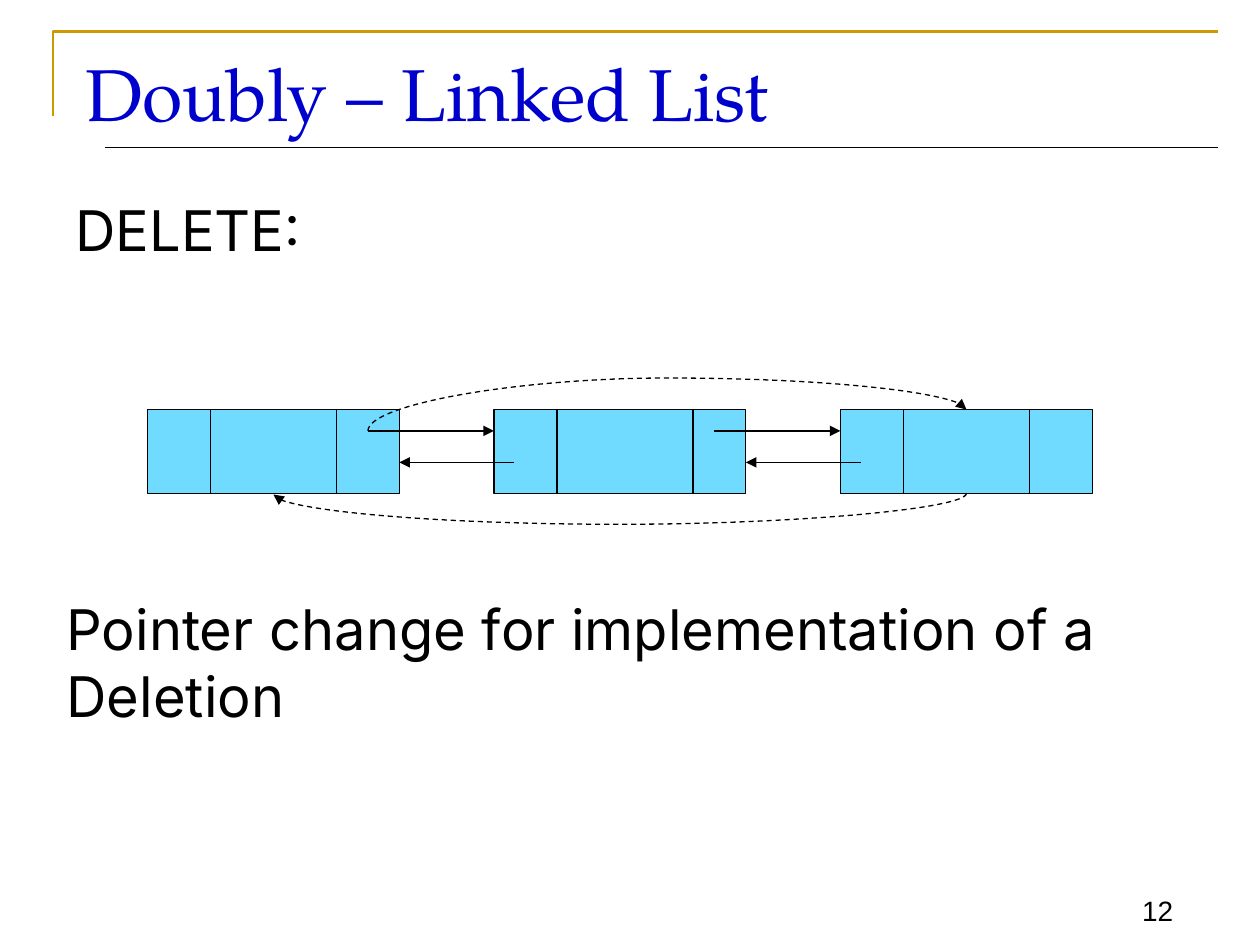
"""Build a slide showing pointer changes when deleting from a doubly linked list."""
from dataclasses import dataclass

import pptx
import pptx.dml.color
import pptx.enum.dml
import pptx.enum.shapes
import pptx.enum.text
import pptx.oxml
import pptx.oxml.ns
import pptx.util

Inches = pptx.util.Inches
Pt = pptx.util.Pt
CONNECTOR = pptx.enum.shapes.MSO_CONNECTOR
ALIGN = pptx.enum.text.PP_ALIGN
ANCHOR = pptx.enum.text.MSO_ANCHOR
Point = tuple[float, float]


@dataclass(frozen=True)
class Theme:
    ink: str = "000000"
    title: str = "0000CC"
    frame: str = "CC9900"
    node: str = "71DAFF"
    title_font: str = "TeX Gyre Pagella"
    body_font: str = "Inter"
    number_font: str = "Arial"
    title_size: int = 42
    body_size: int = 32
    number_size: int = 16
    thin: float = 0.75
    thick: float = 1.5


@dataclass(frozen=True)
class Node:
    left: float
    dividers: Point


@dataclass(frozen=True)
class Link:
    start: Point
    end: Point


@dataclass(frozen=True)
class Bypass:
    start: Point
    end: Point
    reach: float
    rotation: int


THEME = Theme()
NODE_TOP, NODE_WIDTH, NODE_HEIGHT = 3.25, 2, 0.67
NODE_BOTTOM = NODE_TOP + NODE_HEIGHT
NEXT_Y, PREV_Y = 3.42, 3.67
NODES = [Node(1.17, (0.5, 1.5)), Node(3.92, (0.5, 1.58)), Node(6.67, (0.5, 1.5))]
LINKS = [
    Link((2.92, NEXT_Y), (3.92, NEXT_Y)),
    Link((5.67, NEXT_Y), (6.67, NEXT_Y)),
    Link((6.83, PREV_Y), (5.92, PREV_Y)),
    Link((4.08, PREV_Y), (3.17, PREV_Y)),
]
BYPASSES = [
    Bypass((2.92, NEXT_Y), (7.67, NODE_TOP), 0.42, 270),
    Bypass((7.67, NODE_BOTTOM), (2.17, NODE_BOTTOM), 0.25, 90),
]


def rgb(value: str):
    """Return a colour from its hex code."""
    return pptx.dml.color.RGBColor.from_string(value)


def add_xml(parent, tag: str, **attrs: str):
    """Append a drawing element with the given attributes."""
    child = pptx.oxml.parse_xml(f"<a:{tag} {pptx.oxml.ns.nsdecls('a')}/>")
    for name, value in attrs.items():
        child.set(name, value)
    parent.append(child)
    return child


def add_text(s, text: str, box: tuple, *, font: str, size: float,
             color: str = THEME.ink, align=ALIGN.LEFT, anchor=ANCHOR.TOP) -> None:
    """Add a wrapped text box with one formatted run."""
    tf = s.shapes.add_textbox(*map(Inches, box)).text_frame
    tf.word_wrap = True
    tf.vertical_anchor = anchor
    p = tf.paragraphs[0]
    p.alignment = align
    r = p.add_run()
    r.text = text
    r.font.name = font
    r.font.size = Pt(size)
    r.font.color.rgb = rgb(color)


def add_line(s, start: Point, end: Point, *, kind=CONNECTOR.STRAIGHT,
             arrow: bool = False, dashed: bool = False):
    """Add a thin connector, optionally dashed or with an arrowhead."""
    sp = s.shapes.add_connector(kind, *map(Inches, (*start, *end)))
    sp.line.color.rgb = rgb(THEME.ink)
    sp.line.width = Pt(THEME.thin)
    if dashed:
        sp.line.dash_style = pptx.enum.dml.MSO_LINE.DASH
    if arrow:
        add_xml(sp.line._get_or_add_ln(), "tailEnd", type="triangle")
    add_xml(sp._element.spPr, "effectLst")
    return sp


def add_bypass(s, bypass: Bypass) -> None:
    """Add a dashed curve that bulges past both of its ends."""
    (x1, y1), (x2, y2) = bypass.start, bypass.end
    width, height = max(abs(y2 - y1), 0.01), abs(x2 - x1)
    left, top = (x1 + x2 - width) / 2, (y1 + y2 - height) / 2
    sp = add_line(s, (left, top), (left + width, top + height),
                  kind=CONNECTOR.CURVE, arrow=True, dashed=True)
    spPr = sp._element.spPr
    spPr.find(pptx.oxml.ns.qn("a:xfrm")).set("rot", str(bypass.rotation * 60000))
    guides = spPr.find(".//" + pptx.oxml.ns.qn("a:avLst"))
    add_xml(guides, "gd", name="adj1", fmla=f"val {round(bypass.reach / width * 100000)}")


def add_node(s, node: Node) -> None:
    """Add a list node split into previous, data and next cells."""
    sp = s.shapes.add_shape(
        pptx.enum.shapes.MSO_SHAPE.RECTANGLE,
        *map(Inches, (node.left, NODE_TOP, NODE_WIDTH, NODE_HEIGHT)))
    sp.shadow.inherit = False
    sp.fill.solid()
    sp.fill.fore_color.rgb = rgb(THEME.node)
    sp.line.color.rgb = rgb(THEME.ink)
    sp.line.width = Pt(THEME.thin)
    for offset in node.dividers:
        x = node.left + offset
        add_line(s, (x, NODE_TOP), (x, NODE_BOTTOM))


def add_frame(s) -> None:
    """Add the corner rule and the line under the title."""
    fb = s.shapes.build_freeform(Inches(0.42), Inches(0.92))
    fb.add_line_segments([(Inches(0.42), Inches(0.25)), (Inches(9.67), Inches(0.25))],
                         close=False)
    sp = fb.convert_to_shape()
    sp.shadow.inherit = False
    sp.fill.background()
    sp.line.color.rgb = rgb(THEME.frame)
    sp.line.width = Pt(THEME.thick)
    add_line(s, (0.83, 1.17), (9.67, 1.17))


def main() -> None:
    """Build and save the slide."""
    prs = pptx.Presentation()
    prs.slide_width, prs.slide_height = Inches(10), Inches(7.5)
    s = prs.slides.add_slide(prs.slide_layouts[6])
    body = {"font": THEME.body_font, "size": THEME.body_size}
    add_frame(s)
    add_text(s, "12", (8.75, 6.92, 0.66, 0.49), font=THEME.number_font,
             size=THEME.number_size, align=ALIGN.RIGHT, anchor=ANCHOR.BOTTOM)
    add_text(s, "DELETE:", (0.5, 1.5, 2.83, 0.75), **body)
    for node in NODES:
        add_node(s, node)
    for link in LINKS:
        add_line(s, link.start, link.end, arrow=True)
    for bypass in BYPASSES:
        add_bypass(s, bypass)
    add_text(s, "Pointer change for implementation of a Deletion",
             (0.43, 4.67, 9.57, 0.63), **body)
    add_text(s, "Doubly – Linked List", (0.58, 0.33, 9.08, 0.75),
             font=THEME.title_font, size=THEME.title_size, color=THEME.title)
    prs.save("out.pptx")


main()
